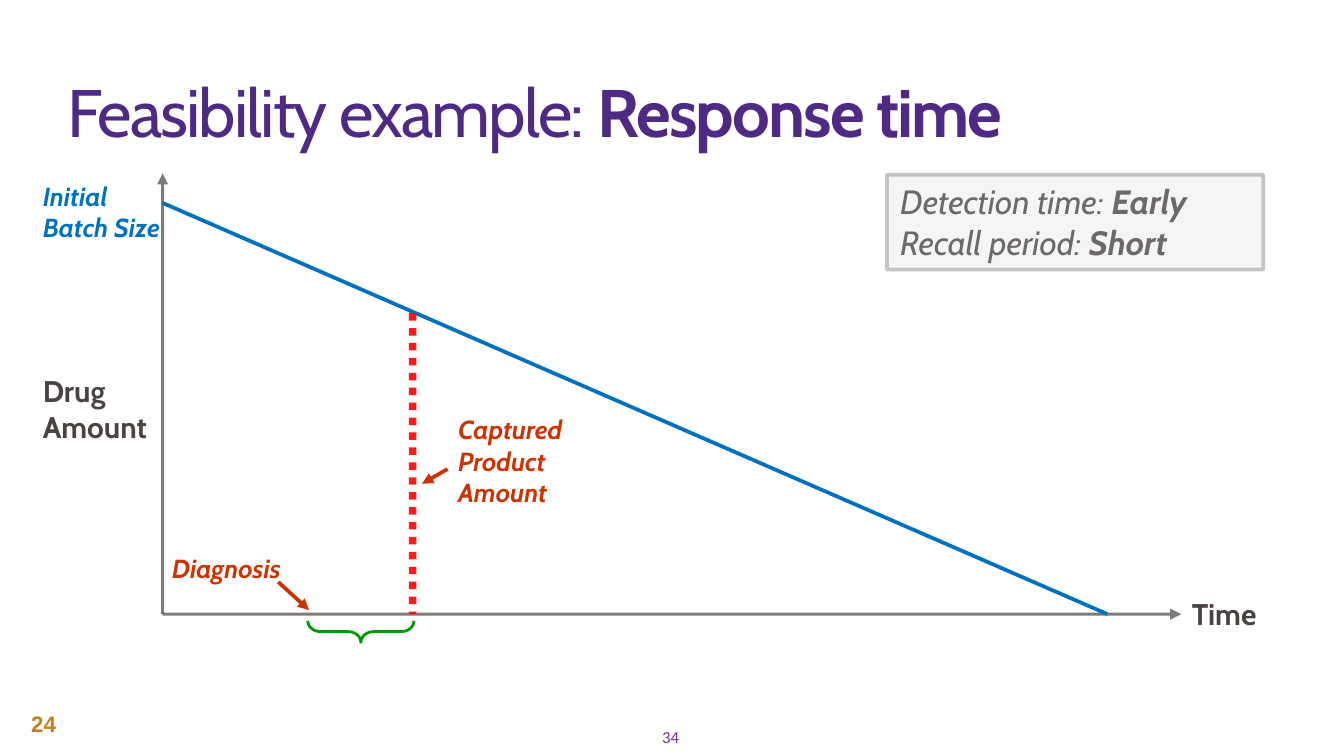
from lxml import etree
from pptx import Presentation
from pptx import util as u
from pptx.dml.color import RGBColor
from pptx.enum import dml, shapes, text
from pptx.oxml import ns

PX = 4572  # EMU per px, 200 px to the inch
GREY, BLUE, RUST, PURPLE = "4A4341", "0070C0", "CC3300", "4E2A84"
LEFT, CENTER = text.PP_ALIGN.LEFT, text.PP_ALIGN.CENTER


def paint(target, color, opacity=100):
    """Give a fill, or the fill of a line, a solid colour."""
    fill = getattr(target, "fill", target)
    fill.solid()
    fill.fore_color.rgb = RGBColor.from_string(color)
    if opacity < 100:
        rgb = fill._xPr.find(".//" + ns.qn("a:srgbClr"))
        etree.SubElement(rgb, ns.qn("a:alpha"), val=str(opacity * 1000))


def write(frame, paragraphs, font, size, color, italic=False, align=LEFT):
    """Fill a frame with paragraphs, each a list of (text, bold) spans."""
    frame.word_wrap = True
    for index, spans in enumerate(paragraphs):
        para = frame.add_paragraph() if index else frame.paragraphs[0]
        para.alignment = align
        for words, bold in spans:
            span = para.add_run()
            span.text = words
            span.font.name, span.font.size = font, u.Pt(size)
            span.font.bold, span.font.italic = bold, italic
            span.font.color.rgb = RGBColor.from_string(color)


deck = Presentation()
deck.slide_width, deck.slide_height = 2000 * PX, 1125 * PX
page = deck.slides.add_slide(deck.slide_layouts[5])

# Title
title = page.shapes.title
title.left, title.top, title.width, title.height = 100 * PX, 45 * PX, 1836 * PX, 180 * PX
frame = title.text_frame
frame.margin_left = frame.margin_top = frame.margin_right = frame.margin_bottom = 0
frame.vertical_anchor = text.MSO_ANCHOR.BOTTOM
frame.auto_size = text.MSO_AUTO_SIZE.NONE
write(frame, [[("Feasibility example:", False), (" Response time", True)]],
      "Cabin", 36, PURPLE)
frame.paragraphs[0].line_spacing = 0.85
for span in frame.paragraphs[0].runs:
    span.font._element.set("spc", "-100")

# Axes, falling drug amount, pointers and capture line
ORIGIN = (242, 914)
lines = [  # start, end, colour, width, opacity, arrow, dash
    (ORIGIN, (242, 258), GREY, 1.5, 70, True, None),
    (ORIGIN, (1758, 914), GREY, 1.5, 70, True, None),
    ((242, 302), (1648, 914), BLUE, 2, 100, False, None),
    ((414, 866), (460, 908), RUST, 2, 100, True, None),
    ((666, 698), (628, 720), RUST, 2, 100, True, None),
    ((614, 466), (614, 914), "FF0000", 4, 90, False, dml.MSO_LINE.ROUND_DOT),
]
for start, end, color, width, opacity, arrow, dash in lines:
    line = page.shapes.add_connector(shapes.MSO_CONNECTOR.STRAIGHT,
                                     *(n * PX for n in start + end))
    paint(line.line, color, opacity)
    line.line.width = u.Pt(width)
    if dash:
        line.line.dash_style = dash
    if arrow:
        etree.SubElement(line.line._get_or_add_ln(), ns.qn("a:tailEnd"), type="triangle")
    etree.SubElement(line._element.spPr, ns.qn("a:effectLst"))

# Recall period brace under the time axis
brace = page.shapes.add_shape(shapes.MSO_SHAPE.RIGHT_BRACE,
                              521 * PX, 861 * PX, 32 * PX, 158 * PX)
brace.rotation = 90
brace.adjustments[0] = 0.59
brace.shadow.inherit = False
brace.fill.background()
paint(brace.line, "009900")
brace.line.width = u.Pt(1.5)

# Labels
labels = [  # words, left, top, width, height, size, colour, italic
    ("Time", 1754, 877, 152, 74, 16, GREY, False),
    ("Drug Amount", 44, 545, 212, 128, 16, GREY, False),
    ("Initial Batch Size", 44, 258, 228, 114, 14, BLUE, True),
    ("Diagnosis", 236, 812, 218, 68, 14, RUST, True),
    ("Captured Product Amount", 662, 606, 310, 114, 14, RUST, True),
]
for words, left, top, width, height, size, color, italic in labels:
    label = page.shapes.add_textbox(left * PX, top * PX, width * PX, height * PX)
    write(label.text_frame, [[(words, True)]], "Cabin", size, color, italic)

# Scenario box
scenario = page.shapes.add_shape(shapes.MSO_SHAPE.RECTANGLE,
                                 1320 * PX, 260 * PX, 560 * PX, 141 * PX)
scenario.shadow.inherit = False
paint(scenario.fill, "F2F2F2", 70)
paint(scenario.line, "BFBFBF", 90)
scenario.line.width = u.Pt(2)
scenario.text_frame.vertical_anchor = text.MSO_ANCHOR.TOP
write(scenario.text_frame,
      [[("Detection time: ", False), ("Early", True)],
       [("Recall period: ", False), ("Short", True)]],
      "Cabin", 18, "6E6969", italic=True)

# Page numbers
numbers = [  # words, left, top, width, height, font, size, colour, bold
    ("34", 825, 1076, 350, 40, "Calibri", 9, "7030A0", False),
    ("24", 30, 1047, 74, 60, "Arial", 12, "CA7C1B", True),
]
for words, left, top, width, height, font, size, color, bold in numbers:
    number = page.shapes.add_textbox(left * PX, top * PX, width * PX, height * PX)
    number.text_frame.vertical_anchor = text.MSO_ANCHOR.MIDDLE
    number.text_frame.margin_left = 6 * PX
    number.text_frame.margin_right = 10 * PX
    write(number.text_frame, [[(words, bold)]], font, size, color, align=CENTER)

deck.save("out.pptx")
